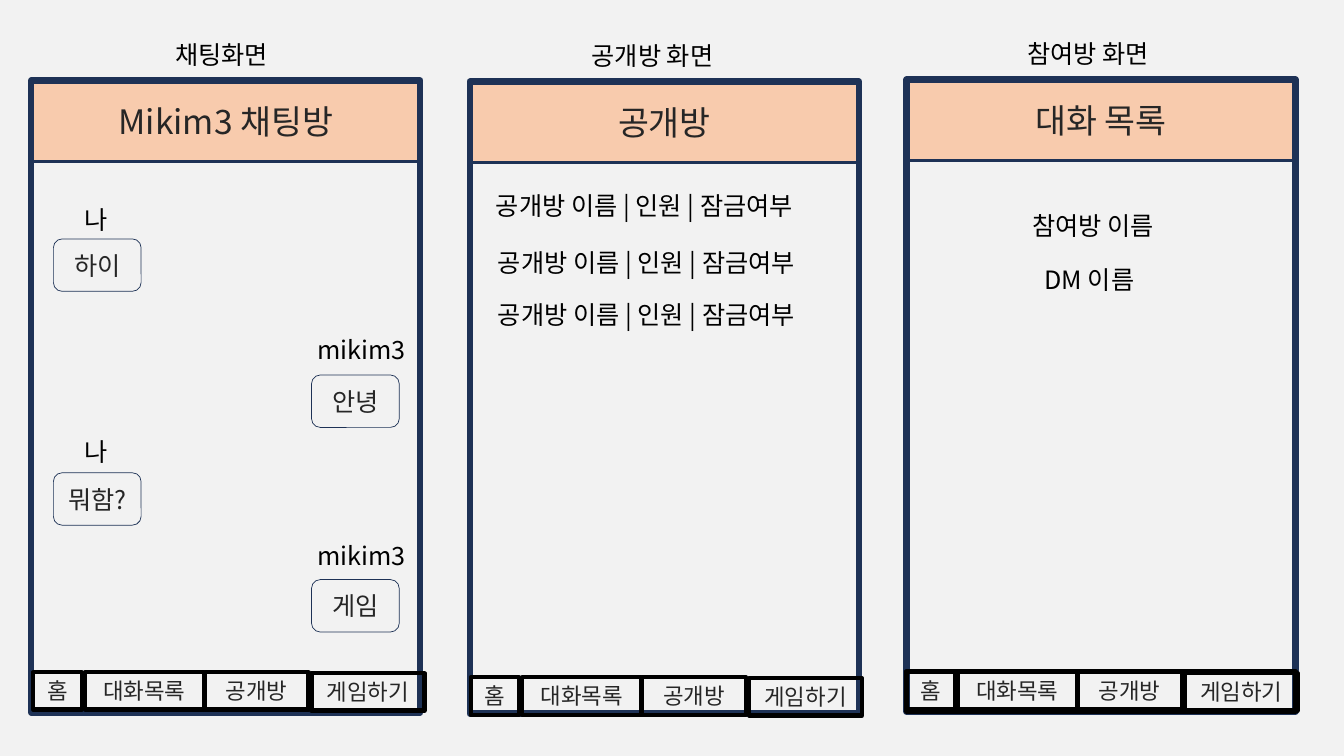
from lxml import etree
from pptx import Presentation
from pptx.dml.color import RGBColor
from pptx.enum.shapes import MSO_SHAPE
from pptx.enum.text import MSO_ANCHOR, MSO_AUTO_SIZE, PP_ALIGN
from pptx.oxml.ns import qn
from pptx.util import Inches, Pt

FONT = "Noto Sans CJK KR"
HEX = {"back": "F2F2F2", "head": "F8CBAD", "navy": "1E3256",
       "black": "000000", "ink": "262626"}
WIDE, TALL, HEAD = 3.86, 6.27, 0.8
TABS = [("홈", 0, 0, 0.48), ("대화목록", 0.51, 0, 1.18),
        ("공개방", 1.7, 0, 1.03), ("게임하기", 2.76, 0.01, 1.12)]


def color(name):
    return RGBColor.from_string(HEX[name])


def write(shape, text, size=18, ink="ink", align=PP_ALIGN.CENTER,
          anchor=MSO_ANCHOR.MIDDLE, wrap=True, grow=False):
    frame = shape.text_frame
    frame.word_wrap = wrap
    frame.vertical_anchor = anchor
    if grow:
        frame.auto_size = MSO_AUTO_SIZE.SHAPE_TO_FIT_TEXT
    para = frame.paragraphs[0]
    para.alignment = align
    run = para.add_run()
    run.text = text
    run.font.size = Pt(size)
    run.font.color.rgb = color(ink)
    run.font.name = FONT
    east = etree.SubElement(run.font._element, qn("a:ea"))
    east.set("typeface", FONT)


def block(slide, x, y, w, h, line, width, fill=None, kind=MSO_SHAPE.RECTANGLE):
    shape = slide.shapes.add_shape(kind, Inches(x), Inches(y), Inches(w), Inches(h))
    shape.shadow.inherit = False
    if fill:
        shape.fill.solid()
        shape.fill.fore_color.rgb = color(fill)
    else:
        shape.fill.background()
    shape.line.color.rgb = color(line)
    shape.line.width = Pt(width)
    return shape


def label(slide, text, x, y, w, wrap=False):
    box = slide.shapes.add_textbox(Inches(x), Inches(y), Inches(w), Inches(0.4))
    write(box, text, ink="black", align=PP_ALIGN.LEFT,
          anchor=MSO_ANCHOR.TOP, wrap=wrap, grow=True)


def phone(slide, x, y, title, note, shift, w):
    """Draw the caption, header and frame of one app screen."""
    label(slide, note, x + shift, y - 0.46, w)
    head = block(slide, x, y, WIDE, HEAD, "navy", 2.25, "head")
    write(head, title, size=24)
    block(slide, x, y, WIDE, TALL, "navy", 4.5)


def menu(slide, x, y):
    for text, dx, dy, w in TABS:
        tab = block(slide, x + dx, y + dy, w, 0.37, "black", 3)
        write(tab, text, size=16, anchor=MSO_ANCHOR.TOP, grow=True)


def chat(slide, x, y):
    phone(slide, x, y, "Mikim3 채팅방", "채팅화면", 1.33, 1.21)
    for text, mine, top, gap in [("하이", True, 1.57, 0.39), ("안녕", False, 2.92, 0.45),
                                 ("뭐함?", True, 3.89, 0.41), ("게임", False, 4.95, 0.44)]:
        name, dx, nx, w = ("나", 0.22, 0.43, 0.45) if mine else ("mikim3", 2.78, 2.74, 1.44)
        bubble = block(slide, x + dx, y + top, 0.87, 0.52, "navy", 0.5,
                       kind=MSO_SHAPE.ROUNDED_RECTANGLE)
        write(bubble, text)
        label(slide, name, x + nx, y + top - gap, w, wrap=True)
    menu(slide, x + 0.02, y + 5.87)


def rooms(slide, x, y):
    phone(slide, x, y, "공개방", "공개방 화면", 1.11, 1.55)
    for dx, dy in [(0.16, 1.03), (0.18, 1.59), (0.18, 2.11)]:
        label(slide, "공개방 이름 | 인원 | 잠금여부", x + dx, y + dy, 3.55)
    menu(slide, x + 0.01, y + 5.91)


def talks(slide, x, y):
    phone(slide, x, y, "대화 목록", "참여방 화면", 1.1, 1.55)
    label(slide, "참여방 이름", x + 1.15, y + 1.25, 1.55)
    label(slide, "DM 이름", x + 1.27, y + 1.78, 1.21)
    block(slide, x, y + 5.87, WIDE, 0.4, "black", 3)
    menu(slide, x, y + 5.88)


def main():
    deck = Presentation()
    deck.slide_width, deck.slide_height = Inches(13.33), Inches(7.5)
    slide = deck.slides.add_slide(deck.slide_layouts[6])
    slide.background.fill.solid()
    slide.background.fill.fore_color.rgb = color("back")
    chat(slide, 0.31, 0.8)
    rooms(slide, 4.66, 0.81)
    talks(slide, 8.99, 0.79)
    deck.save("out.pptx")


if __name__ == "__main__":
    main()
